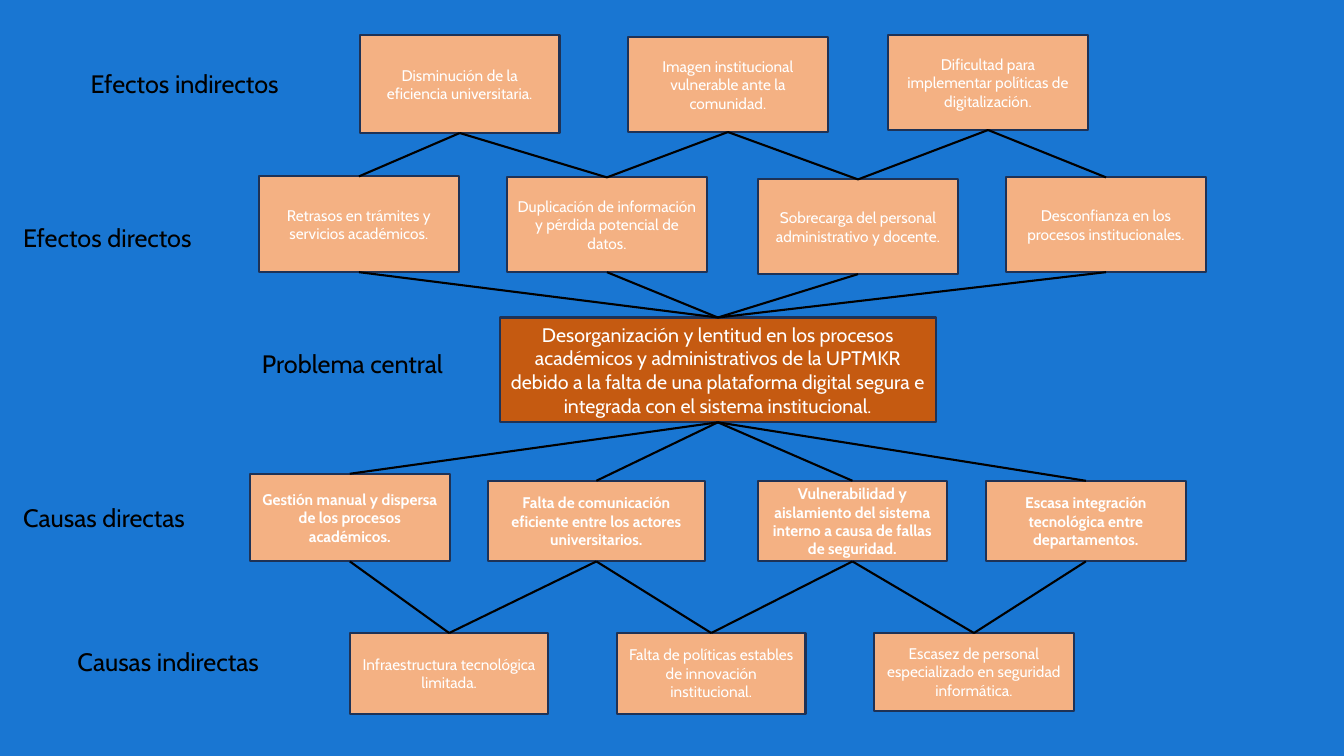
"""Build a problem tree slide with effects above and causes below the central problem."""
from dataclasses import dataclass

import pptx
import pptx.dml.color
import pptx.enum.shapes
import pptx.enum.text
import pptx.oxml.ns
import pptx.presentation
import pptx.shapes.autoshape
import pptx.slide
import pptx.text.text
import pptx.util
from lxml import etree

EMU_PER_PX = 9144
FONT = "Cabin"
BLUE = "1976D2"
NAVY = "1E3256"
PEACH = "F4B183"
ORANGE = "C55A11"
WHITE = "FFFFFF"
BLACK = "000000"


@dataclass(frozen=True)
class Card:
    left: int
    top: int
    width: int
    height: int
    text: str
    fill: str = PEACH
    size: int = 11
    bold: bool = False


@dataclass(frozen=True)
class Label:
    left: int
    top: int
    text: str
    width: int = 215
    height: int = 40


INDIRECT_EFFECTS = [
    Card(357, 35, 198, 97, "Disminución de la eficiencia universitaria."),
    Card(623, 37, 198, 94, "Imagen institucional vulnerable ante la comunidad."),
    Card(881, 35, 198, 94, "Dificultad para implementar políticas de digitalización."),
]
DIRECT_EFFECTS = [
    Card(257, 175, 198, 95, "Retrasos en trámites y servicios académicos."),
    Card(503, 176, 198, 94, "Duplicación de información y pérdida potencial de datos."),
    Card(752, 178, 198, 94, "Sobrecarga del personal administrativo y docente."),
    Card(998, 176, 198, 94, "Desconfianza en los procesos institucionales."),
]
CENTRAL_PROBLEM = Card(
    496, 315, 432, 104,
    "Desorganización y lentitud en los procesos académicos y administrativos de la UPTMKR "
    "debido a la falta de una plataforma digital segura e integrada con el sistema institucional.",
    ORANGE, 14,
)
DIRECT_CAUSES = [
    Card(248, 470, 198, 87, "Gestión manual y dispersa de los procesos académicos.", bold=True),
    Card(484, 477, 215, 80, "Falta de comunicación eficiente entre los actores universitarios.", bold=True),
    Card(752, 477, 187, 80,
         "Vulnerabilidad y aislamiento del sistema interno a causa de fallas de seguridad.", bold=True),
    Card(978, 477, 198, 80, "Escasa integración tecnológica entre departamentos.", bold=True),
]
INDIRECT_CAUSES = [
    Card(347, 628, 197, 80, "Infraestructura tecnológica limitada."),
    Card(612, 628, 187, 80, "Falta de políticas estables de innovación institucional."),
    Card(867, 628, 198, 77, "Escasez de personal especializado en seguridad informática."),
]
LABELS = [
    Label(80, 63, "Efectos indirectos"),
    Label(13, 216, "Efectos directos"),
    Label(250, 341, "Problema central"),
    Label(13, 493, "Causas directas"),
    Label(67, 636, "Causas indirectas", width=242),
]


def px(length: int) -> pptx.util.Emu:
    """Turn pixels into EMU."""
    return pptx.util.Emu(length * EMU_PER_PX)


def colour(value: str) -> pptx.dml.color.RGBColor:
    """Turn a hex string into a colour."""
    return pptx.dml.color.RGBColor.from_string(value)


def add_run(paragraph: pptx.text.text._Paragraph, text: str, size: int, ink: str, bold: bool = False) -> None:
    """Add one formatted run to a paragraph."""
    run = paragraph.add_run()
    run.text = text
    run.font.name = FONT
    run.font.size = pptx.util.Pt(size)
    run.font.bold = bold
    run.font.color.rgb = colour(ink)


def add_card(slide: pptx.slide.Slide, card: Card) -> pptx.shapes.autoshape.Shape:
    """Draw a bordered box with centred white text."""
    shape = slide.shapes.add_shape(
        pptx.enum.shapes.MSO_SHAPE.RECTANGLE,
        px(card.left), px(card.top), px(card.width), px(card.height),
    )
    shape.shadow.inherit = False
    shape.fill.solid()
    shape.fill.fore_color.rgb = colour(card.fill)
    shape.line.color.rgb = colour(NAVY)
    shape.line.width = pptx.util.Pt(1.5)
    frame = shape.text_frame
    frame.word_wrap = True
    frame.vertical_anchor = pptx.enum.text.MSO_ANCHOR.MIDDLE
    paragraph = frame.paragraphs[0]
    paragraph.alignment = pptx.enum.text.PP_ALIGN.CENTER
    add_run(paragraph, card.text, card.size, WHITE, card.bold)
    return shape


def add_label(slide: pptx.slide.Slide, label: Label) -> None:
    """Write the name of a level of the tree."""
    box = slide.shapes.add_textbox(px(label.left), px(label.top), px(label.width), px(label.height))
    box.text_frame.word_wrap = True
    box.text_frame.auto_size = pptx.enum.text.MSO_AUTO_SIZE.SHAPE_TO_FIT_TEXT
    add_run(box.text_frame.paragraphs[0], label.text, 18, BLACK)


def join(
    slide: pptx.slide.Slide,
    upper: pptx.shapes.autoshape.Shape,
    lower: pptx.shapes.autoshape.Shape,
) -> None:
    """Link the bottom of one box to the top of another."""
    connector = slide.shapes.add_connector(pptx.enum.shapes.MSO_CONNECTOR.STRAIGHT, 0, 0, 0, 0)
    connector.begin_connect(upper, 2)
    connector.end_connect(lower, 0)
    connector.line.color.rgb = colour(BLACK)
    connector.line.width = pptx.util.Pt(1.5)
    etree.SubElement(connector._element.spPr, pptx.oxml.ns.qn("a:effectLst"))


def main() -> None:
    """Build and save the presentation."""
    presentation = pptx.Presentation()
    presentation.slide_width = px(1333)
    presentation.slide_height = px(750)
    slide = presentation.slides.add_slide(presentation.slide_layouts[6])
    slide.background.fill.solid()
    slide.background.fill.fore_color.rgb = colour(BLUE)

    direct_causes = [add_card(slide, card) for card in DIRECT_CAUSES]
    central = add_card(slide, CENTRAL_PROBLEM)
    direct_effects = [add_card(slide, card) for card in DIRECT_EFFECTS]
    indirect_effects = [add_card(slide, card) for card in INDIRECT_EFFECTS]
    indirect_causes = [add_card(slide, card) for card in INDIRECT_CAUSES]
    for label in LABELS:
        add_label(slide, label)

    for index, effect in enumerate(indirect_effects):
        for direct_effect in direct_effects[index:index + 2]:
            join(slide, effect, direct_effect)
    for direct_effect in direct_effects:
        join(slide, direct_effect, central)
    for direct_cause in direct_causes:
        join(slide, central, direct_cause)
    for index, cause in enumerate(indirect_causes):
        for direct_cause in direct_causes[index:index + 2]:
            join(slide, direct_cause, cause)

    presentation.save("out.pptx")


if __name__ == "__main__":
    main()
